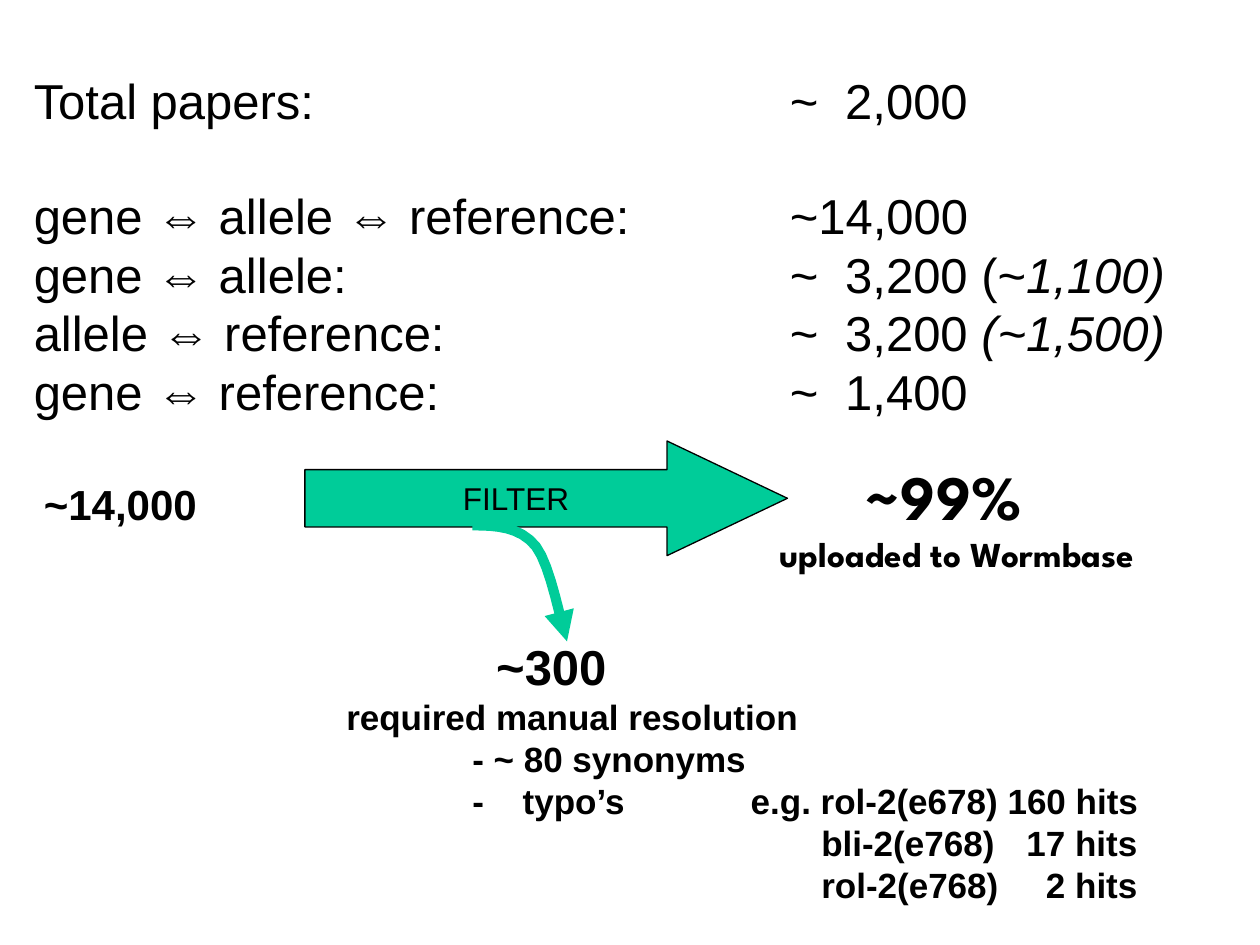
from dataclasses import dataclass

from lxml.etree import SubElement
from pptx import Presentation
from pptx.dml.color import RGBColor
from pptx.enum.shapes import MSO_SHAPE
from pptx.enum.text import MSO_ANCHOR, PP_ALIGN
from pptx.oxml.ns import qn
from pptx.util import Inches, Pt


@dataclass(frozen=True)
class Theme:
    """Hold the colours, fonts and type sizes of the slide."""
    ink: RGBColor = RGBColor(0, 0, 0)
    green: RGBColor = RGBColor(0x00, 0xCC, 0x99)
    body: str = "Arial"
    show: str = "League Spartan"
    huge: int = 36
    large: int = 28
    mid: int = 24
    small: int = 20
    label: int = 18


THEME = Theme()


def write(frame, text, size, font=THEME.body, bold=False, slant="",
          before=0, tabs=(), align=PP_ALIGN.LEFT):
    """Add one paragraph, with an optional italic ending and tab stops."""
    para = frame.paragraphs[0]
    if para.runs:
        para = frame.add_paragraph()
    if tabs:
        stops = SubElement(para._p.get_or_add_pPr(), qn("a:tabLst"))
        for place, side in tabs:
            SubElement(stops, qn("a:tab"), pos=str(Inches(place)), algn=side)
    para.alignment = align
    if before:
        para.space_before = Pt(before)
    for part, italic in ((text, False), (slant, True)):
        if part:
            run = para.add_run()
            run.text = part
            run.font.name, run.font.size = font, Pt(size)
            run.font.bold, run.font.italic = bold, italic
            run.font.color.rgb = THEME.ink


def frame_in(slide, box):
    """Return the wrapping frame of a new text box."""
    frame = slide.shapes.add_textbox(*map(Inches, box)).text_frame
    frame.word_wrap = True
    return frame


def draw_counts(slide, box):
    """Place the paper and link counts in two columns."""
    frame = frame_in(slide, box)
    rows = [
        ("Total papers:", "~\t2,000", "", 0),
        ("gene ⇔ allele ⇔ reference:", "~14,000", "", 32),
        ("gene ⇔ allele:", "~\t3,200 (~", "1,100)", 0),
        ("allele ⇔ reference:", "~\t3,200 ", "(~1,500)", 0),
        ("gene ⇔ reference:", "~\t1,400", "", 0),
    ]
    for name, count, slant, gap in rows:
        write(frame, f"{name}\t{count}", THEME.large, slant=slant,
              before=gap, tabs=((6, "l"), (6.44, "l")))


def draw_input(slide, box):
    """Place the number of links that enter the filter."""
    write(frame_in(slide, box), "~14,000", THEME.mid, bold=True)


def draw_output(slide, box):
    """Place the share that passes the filter."""
    frame = frame_in(slide, box)
    write(frame, "\t~99%", THEME.huge, font=THEME.show, bold=True,
          tabs=((0.67, "l"),))
    write(frame, "uploaded to Wormbase", THEME.small, font=THEME.show, bold=True)


def draw_filter(slide, box):
    """Place the wide filter arrow with its label."""
    arrow = slide.shapes.add_shape(MSO_SHAPE.RIGHT_ARROW, *map(Inches, box))
    arrow.adjustments[1] = 1.05
    arrow.shadow.inherit = False
    arrow.fill.solid()
    arrow.fill.fore_color.rgb = THEME.green
    arrow.line.color.rgb = THEME.ink
    arrow.line.width = Pt(0.75)
    frame = arrow.text_frame
    frame.word_wrap = False
    frame.vertical_anchor = MSO_ANCHOR.MIDDLE
    write(frame, "FILTER", THEME.label, align=PP_ALIGN.CENTER)


def bend(knots, steps=8):
    """Return points along one cubic curve, after its start."""
    points = []
    for step in range(1, steps + 1):
        t = step / steps
        u = 1 - t
        shares = (u ** 3, 3 * u * u * t, 3 * u * t * t, t ** 3)
        points.append(tuple(
            sum(share * knot[axis] for share, knot in zip(shares, knots))
            for axis in (0, 1)))
    return points


def draw_branch(slide, box):
    """Place the curved arrow that leaves the filter."""
    left, top, width, height = box
    knots = [(0, 0), (0.25, 0), (0.5, 0.01), (0.67, 0.18),
             (0.83, 0.35), (0.94, 0.87), (1, 1)]
    trail = bend(knots[:4]) + bend(knots[3:])
    path = slide.shapes.build_freeform(Inches(left), Inches(top))
    path.add_line_segments(
        [(Inches(left + x * width), Inches(top + y * height)) for x, y in trail],
        close=False)
    curve = path.convert_to_shape()
    curve.shadow.inherit = False
    curve.fill.background()
    curve.line.color.rgb = THEME.green
    curve.line.width = Pt(5.75)
    SubElement(curve.line._get_or_add_ln(), qn("a:tailEnd"), type="triangle")


def draw_manual(slide, box):
    """Place the cases that were solved by hand."""
    frame = frame_in(slide, box)
    hits = ((3.77, "l"), (6.28, "r"))
    rows = [
        ("\t~300", THEME.large, ((1.19, "l"),)),
        ("required manual resolution", THEME.small, ()),
        ("\t- ~ 80 synonyms", THEME.small, ((1, "l"),)),
        ("\t-\ttypo’s\te.g. rol-2(e678) 160 hits", THEME.small,
         ((1, "l"), (1.4, "l"), (3.21, "l"))),
        ("\tbli-2(e768)\t17 hits", THEME.small, hits),
        ("\trol-2(e768)\t2 hits", THEME.small, hits),
    ]
    for text, size, tabs in rows:
        write(frame, text, size, bold=True, tabs=tabs)


def main():
    """Build and save the slide."""
    deck = Presentation()
    deck.slide_width, deck.slide_height = Inches(10), Inches(7.5)
    slide = deck.slides.add_slide(deck.slide_layouts[6])
    draw_counts(slide, (0.17, 0.51, 9.4, 2.9))
    draw_input(slide, (0.25, 3.75, 1.73, 0.5))
    draw_output(slide, (6.09, 3.58, 3.42, 1.04))
    draw_filter(slide, (2.42, 3.5, 3.83, 0.91))
    draw_branch(slide, (3.75, 4.17, 0.75, 0.92))
    draw_manual(slide, (2.65, 5, 6.6, 2.24))
    deck.save("out.pptx")


if __name__ == "__main__":
    main()
